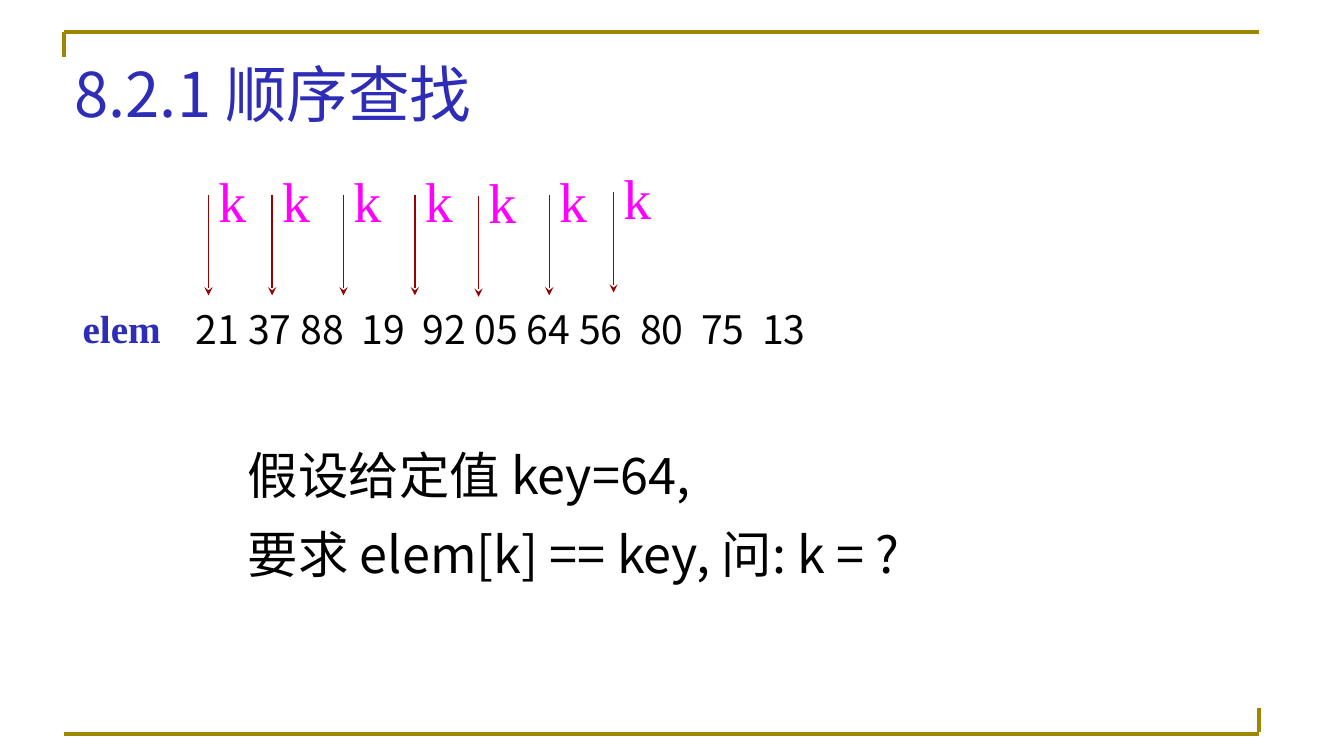
"""Build the sequential search slide."""
from dataclasses import dataclass

from lxml import etree
from pptx import Presentation
from pptx.dml.color import RGBColor
from pptx.enum.shapes import MSO_CONNECTOR
from pptx.enum.text import MSO_ANCHOR, MSO_AUTO_SIZE, PP_ALIGN
from pptx.oxml.ns import qn
from pptx.util import Pt

STRAIGHT = MSO_CONNECTOR.STRAIGHT
TOP = MSO_ANCHOR.TOP
LEFT = PP_ALIGN.LEFT
NO_FIT = MSO_AUTO_SIZE.NONE


@dataclass(frozen=True)
class Theme:
    """Colours, fonts and type sizes."""
    gold: str = "9E8600"
    blue: str = "2D2DB7"
    black: str = "000000"
    red: str = "990000"
    pink: str = "FF00FF"
    sans: str = "Noto Sans CJK SC"
    serif: str = "Times New Roman"
    title: int = 44
    label: int = 40
    body: int = 36
    data: int = 28


class Deck:
    """Hold the theme and the slide and draw each kind of element."""

    def __init__(self, theme):
        """Open a deck with one title and content slide."""
        self.theme = theme
        self.prs = Presentation()
        self.prs.slide_width, self.prs.slide_height = Pt(960.5), Pt(540)
        self.slide = self.prs.slides.add_slide(self.prs.slide_layouts[1])

    def line(self, start, end, color, width, arrow=False):
        """Draw a straight line, with an arrowhead at its end if asked."""
        link = self.slide.shapes.add_connector(
            STRAIGHT, *(Pt(v) for v in (*start, *end)))
        link.line.color.rgb = RGBColor.from_string(color)
        link.line.width = Pt(width)
        if arrow:
            etree.SubElement(link.line._get_or_add_ln(), qn("a:tailEnd"), type="stealth")
        etree.SubElement(link._element.spPr, qn("a:effectLst"))

    def fill(self, shape, box, lines, size, color, face,
             bold=False, wrap=False, space=0.93):
        """Place a shape and set its formatted paragraphs."""
        shape.left, shape.top, shape.width, shape.height = (Pt(v) for v in box)
        frame = shape.text_frame
        frame.text = "\n".join(lines)
        frame.word_wrap = wrap
        frame.auto_size = NO_FIT
        frame.vertical_anchor = TOP
        for i, para in enumerate(frame.paragraphs):
            para.alignment = LEFT
            para.line_spacing = space
            para.space_before = Pt(1 if i else 0)
            para.space_after = Pt(1)
            props = para._p.get_or_add_pPr()
            props.set("marL", "0")
            props.set("indent", "0")
            etree.SubElement(props, qn("a:buNone"))
            font = para.font
            font.size, font.bold, font.name = Pt(size), bold, face
            font.color.rgb = RGBColor.from_string(color)
            etree.SubElement(props.find(qn("a:defRPr")), qn("a:ea"), typeface=face)

    def text(self, box, words, *style, **more):
        """Add a text box of one paragraph."""
        shape = self.slide.shapes.add_textbox(*(Pt(v) for v in box))
        self.fill(shape, box, [words], *style, **more)

    def title(self, box, words):
        """Fill the title placeholder."""
        look = self.theme
        self.fill(self.slide.shapes.title, box, [words],
                  look.title, look.blue, look.sans, wrap=True)

    def body(self, box, lines):
        """Fill the body placeholder."""
        look = self.theme
        self.fill(self.slide.placeholders[1], box, lines,
                  look.body, look.black, look.sans, space=1.25)

    def frame(self):
        """Draw the two corner rules."""
        left, right, top, base = 46, 899.5, 23, 524
        for start, end in (
            ((left, top), (right, top)),
            ((left, top), (left, top + 18)),
            ((left, base), (right, base)),
            ((right, base - 18.5), (right, base - 1)),
        ):
            self.line(start, end, self.theme.gold, 2.83)

    def step(self, x, y):
        """Draw one arrow with its index label."""
        look = self.theme
        self.line((x, y), (x, y + 72), look.red, 1, arrow=True)
        self.text((x, y - 19.5, 34.5, 52), "k", look.label, look.pink, look.serif)


def main():
    """Draw the slide and save it."""
    look = Theme()
    deck = Deck(look)
    deck.frame()
    deck.title((46, 41, 766, 56), "8.2.1 顺序查找")
    deck.text((52, 216.5, 70, 39), "elem",
              look.data, look.blue, look.serif, bold=True)
    deck.body((170, 303, 512.5, 117.5),
              ["假设给定值 key=64,", "要求 elem[k] == key, 问: k = ?"])
    steps = ((149, 0), (194.5, 0), (245.5, 0), (296.5, 0),
             (342, 1), (392.5, 0), (438.5, -2))
    for x, shift in steps:
        deck.step(x, 139 + shift)
    deck.text((133, 217.5, 679, 39), "21 37 88  19  92 05 64 56  80  75  13",
              look.data, look.black, look.sans, wrap=True)
    deck.prs.save("out.pptx")


if __name__ == "__main__":
    main()
